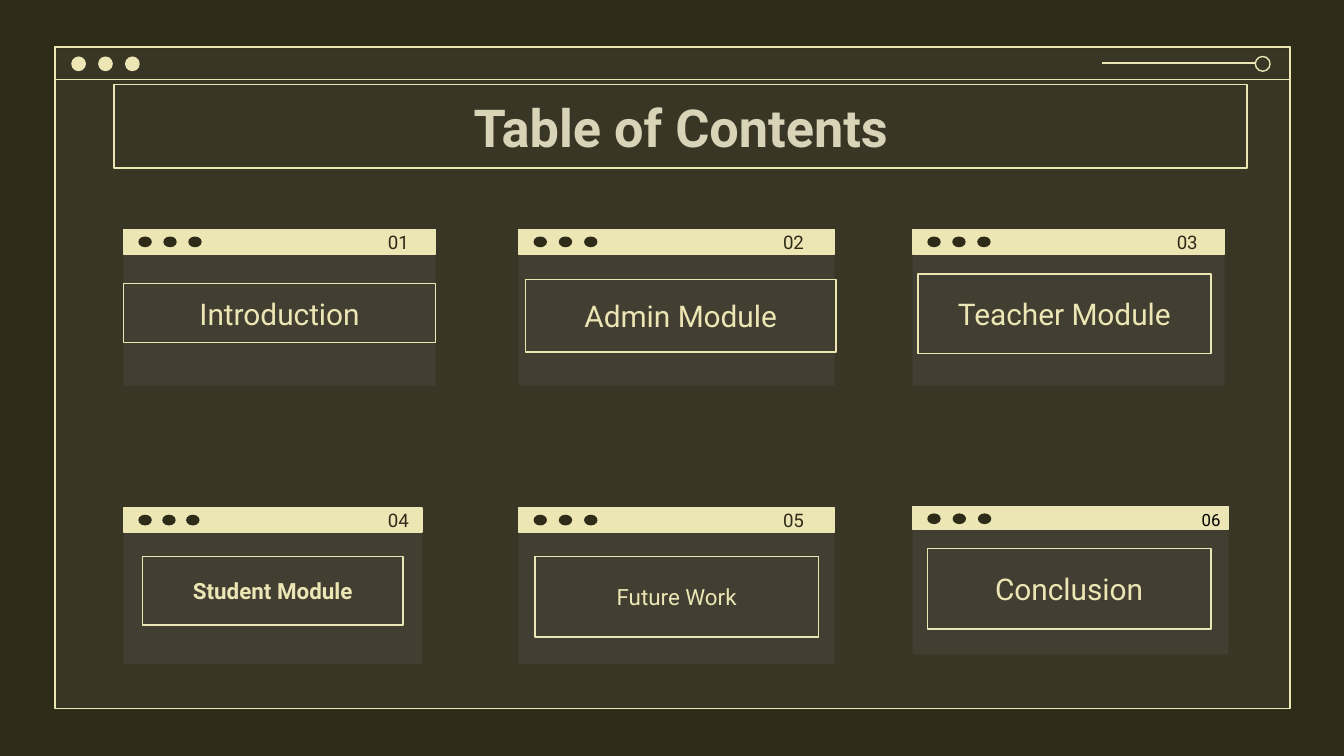
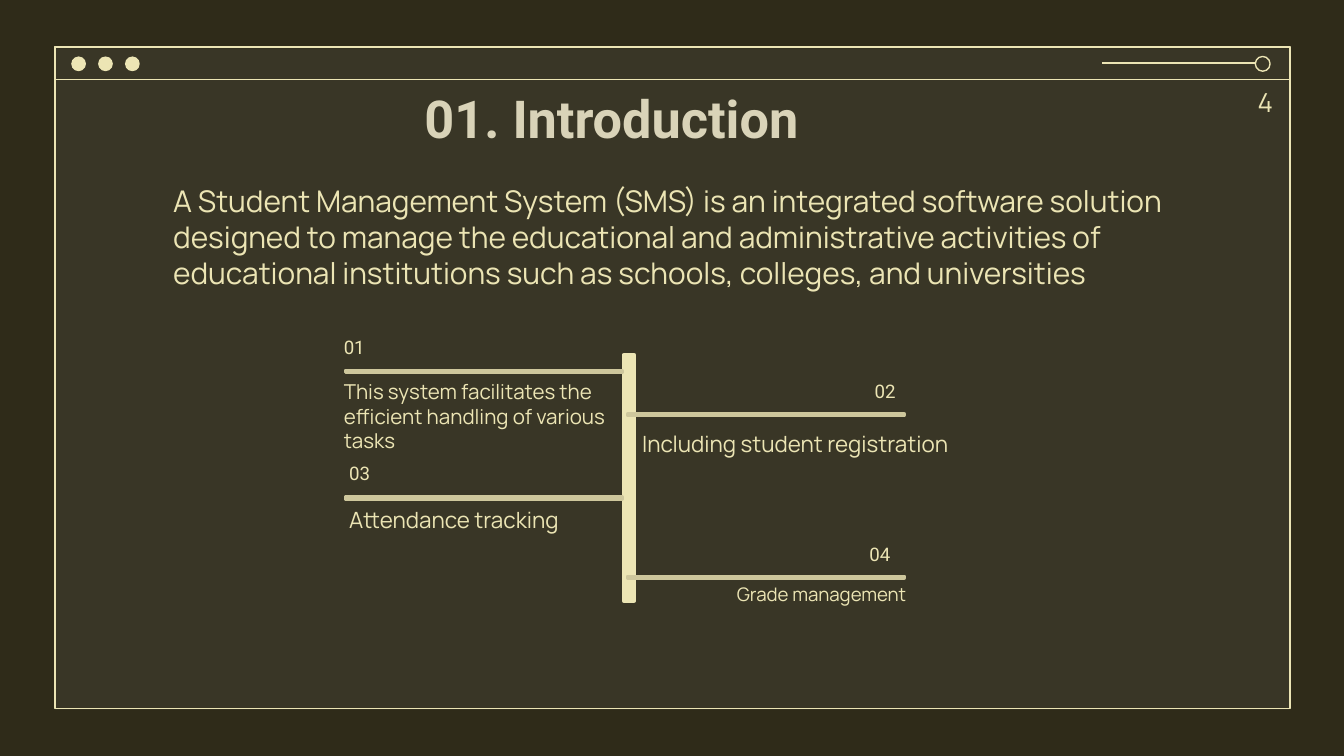
import pptx
import pptx.util
import pptx.dml.color
import pptx.enum.shapes
import pptx.enum.text
import pptx.oxml.ns
from lxml import etree

Inches = pptx.util.Inches
Pt = pptx.util.Pt
RGBColor = pptx.dml.color.RGBColor
SHAPE = pptx.enum.shapes.MSO_SHAPE
ALIGN = pptx.enum.text.PP_ALIGN
ANCHOR = pptx.enum.text.MSO_ANCHOR
qn = pptx.oxml.ns.qn

DARK = RGBColor(0x2F, 0x2B, 0x19)
CREAM = RGBColor(0xEC, 0xE5, 0xB4)
TITLE = RGBColor(0xD9, 0xD3, 0xB8)
KHAKI = RGBColor(0xCE, 0xC7, 0x9C)
GREY = RGBColor(0x7C, 0x7C, 0x7C)
BLACK = RGBColor(0x00, 0x00, 0x00)


def draw(slide, kind, box, fill=None, line=None, weight=0.75, opacity=None):
    shape = slide.shapes.add_shape(kind, *[Inches(v) for v in box])
    shape.shadow.inherit = False
    if fill is None:
        shape.fill.background()
    else:
        shape.fill.solid()
        shape.fill.fore_color.rgb = fill
    if opacity is not None:
        colour = shape.fill._xPr.find(qn("a:solidFill"))[0]
        etree.SubElement(colour, qn("a:alpha"), val=str(opacity * 1000))
    if line is None:
        shape.line.fill.background()
    else:
        shape.line.color.rgb = line
        shape.line.width = Pt(weight)
    return shape


def write(slide, box, text, size, font="Roboto", colour=CREAM, bold=False,
          align=ALIGN.LEFT, anchor=ANCHOR.TOP, inset=0.05, outlined=False):
    if outlined:
        holder = draw(slide, SHAPE.RECTANGLE, box, line=CREAM)
    else:
        holder = slide.shapes.add_textbox(*[Inches(v) for v in box])
    frame = holder.text_frame
    frame_format = {
        "word_wrap": True,
        "vertical_anchor": anchor,
        "margin_left": Inches(0.1),
        "margin_right": Inches(0.1),
        "margin_top": Inches(inset),
        "margin_bottom": Inches(inset),
    }
    for name, value in frame_format.items():
        setattr(frame, name, value)
    paragraph = frame.paragraphs[0]
    paragraph.alignment = align
    run = paragraph.add_run()
    run.text = text
    run.font.color.rgb = colour
    for name, value in {"name": font, "size": Pt(size), "bold": bold}.items():
        setattr(run.font, name, value)


deck = pptx.Presentation()
deck.slide_width = Inches(10)
deck.slide_height = Inches(10 * 9 / 16)
blank = deck.slide_layouts[6]
contents = deck.slides.add_slide(blank)
introduction = deck.slides.add_slide(blank)

for slide in (contents, introduction):
    slide.background.fill.solid()
    slide.background.fill.fore_color.rgb = DARK
    draw(slide, SHAPE.RECTANGLE, (0.41, 0.36, 9.18, 4.92), fill=GREY, opacity=14)
    for height in (4.92, 0.24):
        draw(slide, SHAPE.RECTANGLE, (0.41, 0.35, 9.19, height), line=CREAM)
    for i in range(3):
        draw(slide, SHAPE.OVAL, (0.53 + 0.2 * i, 0.42, 0.11, 0.11), fill=CREAM)
    draw(slide, SHAPE.OVAL, (9.34, 0.42, 0.11, 0.11), line=CREAM)
    slider = slide.shapes.add_connector(
        pptx.enum.shapes.MSO_CONNECTOR.STRAIGHT,
        Inches(8.2), Inches(0.47), Inches(9.34), Inches(0.47))
    slider.line.color.rgb = CREAM
    slider.line.width = Pt(0.75)
    etree.SubElement(slider._element.spPr, qn("a:effectLst"))

cards = [
    ((0.92, 1.71, 2.32, 1.16), 0.18, "Introduction", (0.92, 2.11, 2.32, 0.44), 16, False),
    ((3.86, 1.71, 2.35, 1.16), 0.18, "Admin Module", (3.91, 2.08, 2.31, 0.54), 16, False),
    ((6.79, 1.71, 2.32, 1.16), 0.18, "Teacher Module", (6.83, 2.04, 2.18, 0.59), 16, False),
    ((0.92, 3.78, 2.22, 1.16), 0.18, "Student Module", (1.06, 4.14, 1.94, 0.51), 12, True),
    ((3.86, 3.78, 2.35, 1.16), 0.18, "Future Work", (3.98, 4.14, 2.11, 0.6), 12, False),
    ((6.79, 3.77, 2.35, 1.1), 0.17, "Conclusion", (6.9, 4.08, 2.11, 0.6), 16, False),
]
for number, (card, bar_height, topic, topic_box, size, bold) in enumerate(cards, 1):
    left, top, width, height = card
    draw(contents, SHAPE.RECTANGLE, card, fill=GREY, opacity=14)
    draw(contents, SHAPE.RECTANGLE, (left, top, width, bar_height), fill=CREAM, line=CREAM)
    for i in range(3):
        dot_left = left + 0.11 + 0.08 * width * i
        draw(contents, SHAPE.OVAL, (dot_left, top + 0.05, 0.1, 0.08), fill=DARK)
    if number < len(cards):
        write(contents, (left + 1.16, top, 1.06, 0.18), f"{number:02}", 10, colour=DARK,
              align=ALIGN.RIGHT, anchor=ANCHOR.MIDDLE, inset=0.1)
    else:
        write(contents, (8, 3.74, 1.18, 0.25), f"{number:02}", 9, colour=BLACK,
              align=ALIGN.RIGHT)
    write(contents, topic_box, topic, size, bold=bold, align=ALIGN.CENTER,
          anchor=ANCHOR.MIDDLE, inset=0.1, outlined=True)
write(contents, (0.85, 0.63, 8.43, 0.62), "Table of Contents", 28, colour=TITLE, bold=True,
      align=ALIGN.CENTER, anchor=ANCHOR.MIDDLE, inset=0.1, outlined=True)

write(introduction, (3.06, 0.59, 4.14, 0.57), "01. Introduction", 28, colour=TITLE, bold=True)
write(introduction, (1.19, 1.31, 7.61, 1.41),
      "A Student Management System (SMS) is an integrated software solution designed to "
      "manage the educational and administrative activities of educational institutions "
      "such as schools, colleges, and universities", 16, font="Manrope")
draw(introduction, SHAPE.RECTANGLE, (4.64, 2.64, 0.08, 1.83), fill=CREAM, line=CREAM, weight=2)

branches = [
    ((2.2, 2.74), (2.46, 2.45, 0.77), (2.46, 2.77, 2.24, 0.89), 11, ALIGN.LEFT,
     "This system facilitates the efficient handling of various tasks"),
    ((4.3, 3.06), (6.41, 2.78, 5), (4.68, 3.15, 3.08, 0.54), 12, ALIGN.LEFT,
     "Including student registration"),
    ((2.2, 3.68), (2.5, 3.39, 5.7), (2.5, 3.72, 1.89, 0.74), 12, ALIGN.LEFT,
     "Attendance tracking"),
    ((4.3, 4.27), (6.37, 3.99, 5.52), (4.04, 4.29, 2.8, 0.27), 10, ALIGN.RIGHT,
     "Grade management"),
]
for number, (start, number_box, label_box, size, align, label) in enumerate(branches, 1):
    draw(introduction, SHAPE.MATH_MINUS, (*start, 2.8, 0.05), fill=CREAM, line=KHAKI, weight=2)
    write(introduction, (*number_box, 0.27), f"{number:02}", 10)
    write(introduction, label_box, label, size, font="Manrope", align=align)
write(introduction, (9.26, 0.59, 0.63, 0.34), "4", 14, font="Manrope")

deck.save("out.pptx")
